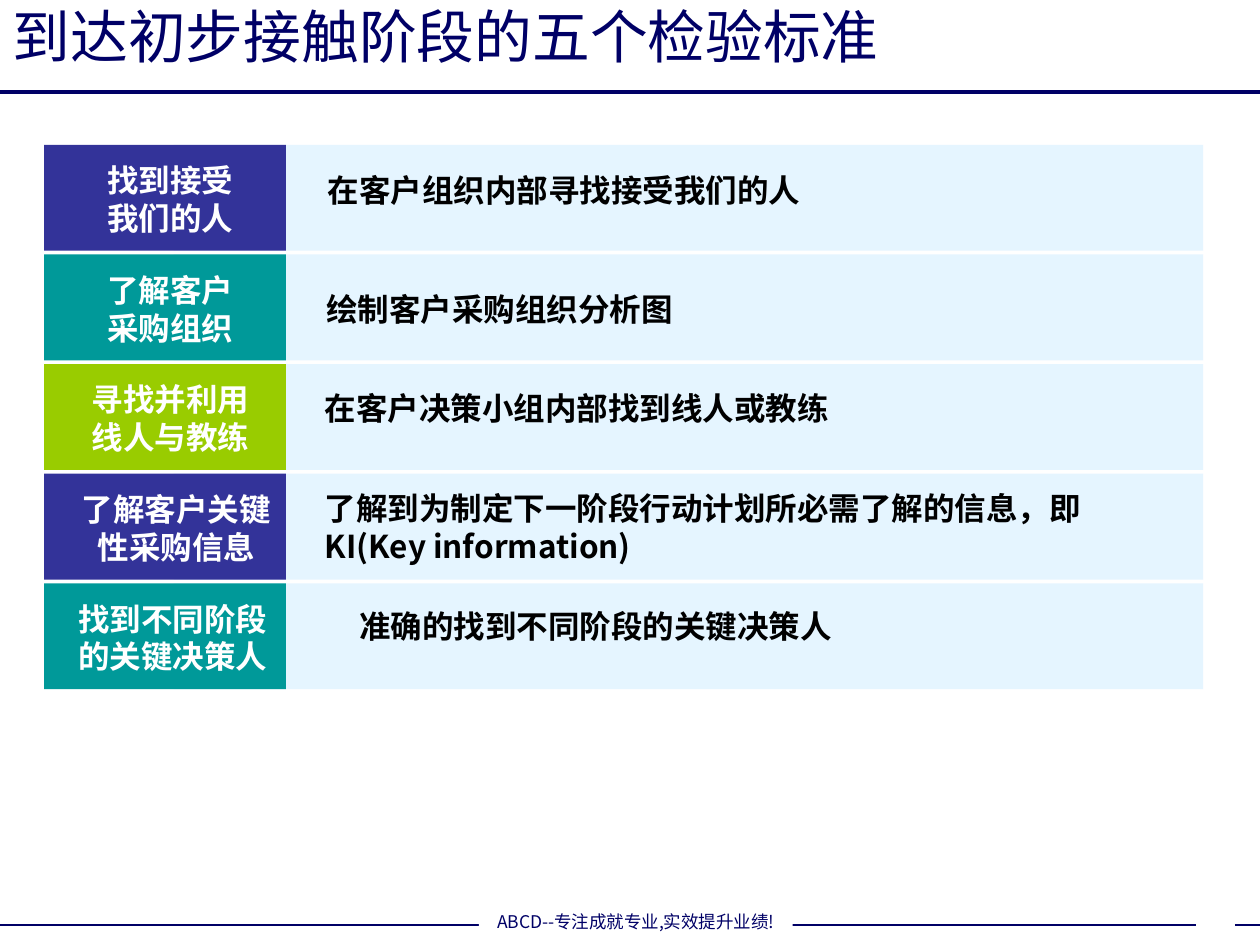
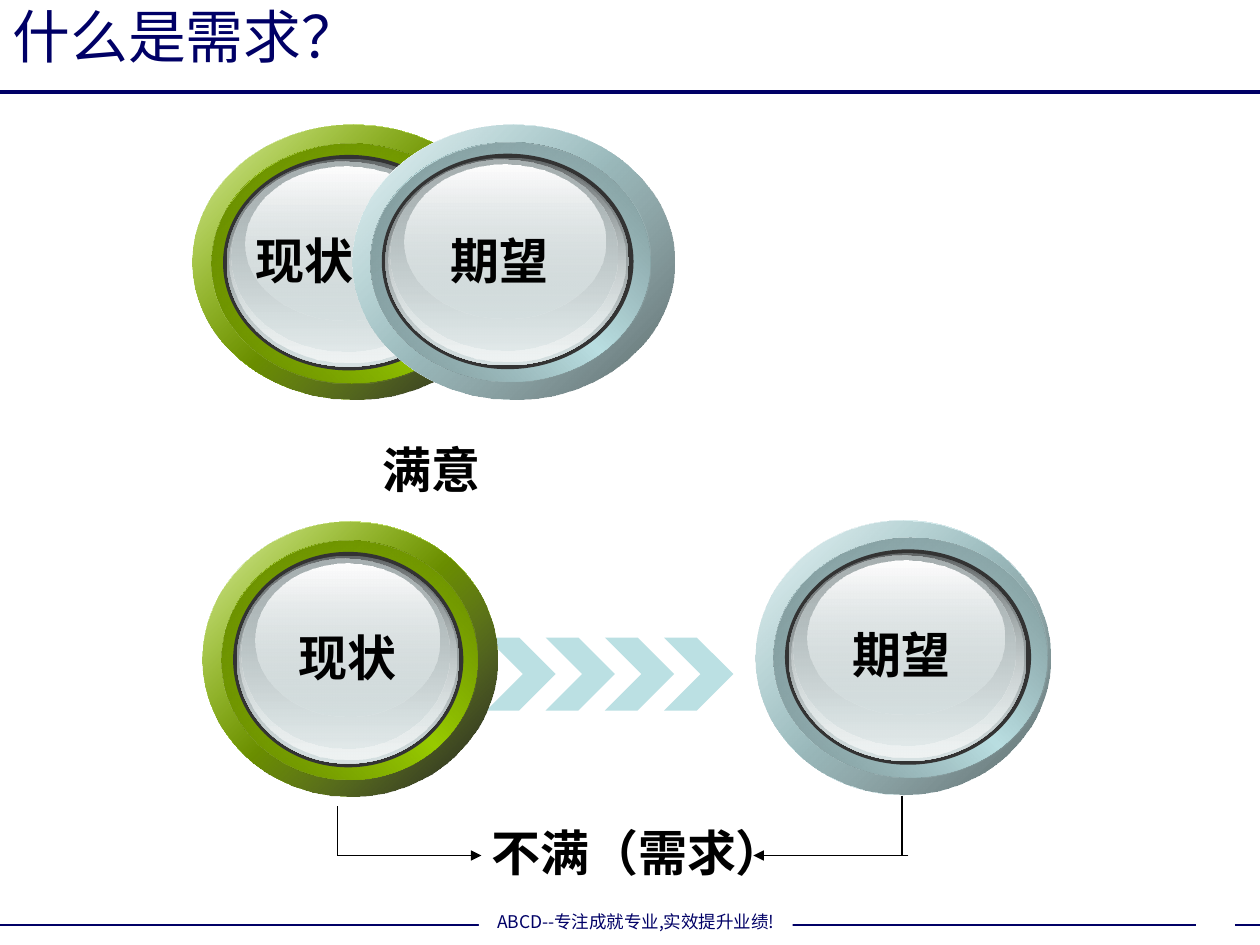
"""Build two slides on first-contact checks and the meaning of customer needs."""
from dataclasses import dataclass
from typing import NamedTuple

from lxml import etree
from pptx import Presentation
from pptx.dml.color import RGBColor
from pptx.enum.shapes import MSO_CONNECTOR, MSO_SHAPE
from pptx.enum.text import MSO_ANCHOR, MSO_AUTO_SIZE, PP_ALIGN
from pptx.oxml.ns import qn
from pptx.presentation import Presentation as Deck
from pptx.shapes.autoshape import Shape
from pptx.slide import Slide
from pptx.text.text import TextFrame
from pptx.util import Inches, Pt


@dataclass(frozen=True)
class Theme:
    navy: str = "000066"
    white: str = "FFFFFF"
    black: str = "000000"
    indigo: str = "333399"
    teal: str = "009999"
    lime: str = "99CC00"
    pale_blue: str = "CCECFF"
    ice: str = "BBE0E3"
    bezel: str = "333333"
    glint: str = "FEFEFE"
    glass: str = "D6E1E2"
    cjk: str = "Noto Sans CJK SC"
    latin: str = "Arial"
    serif: str = "Times New Roman"
    title_size: float = 33
    label_size: float = 28
    body_size: float = 18
    footer_size: float = 10


THEME = Theme()


class Box(NamedTuple):
    left: float
    top: float
    width: float
    height: float


class Style(NamedTuple):
    size: float
    color: str
    font: str = THEME.latin
    bold: bool = True
    align: PP_ALIGN = PP_ALIGN.CENTER


class Stop(NamedTuple):
    position: int
    color: str
    alpha: int = 100


class Rule(NamedTuple):
    start: tuple[float, float]
    end: tuple[float, float]
    color: str
    weight: float
    arrow: bool = False


class Criterion(NamedTuple):
    name: str
    name_left: float
    name_width: float
    color: str
    detail: str
    detail_box: Box
    detail_style: Style
    wrap: bool = False


class Palette(NamedTuple):
    base: str
    shade: Stop
    groove: str
    depth: str
    inset: float


class Badge(NamedTuple):
    left: float
    top: float
    width: float
    rim_width: float
    palette: Palette


class Layer(NamedTuple):
    dx: float
    dy: float
    width_ratio: float
    height: float
    stops: tuple[Stop, ...]
    angle: int = 90


class Caption(NamedTuple):
    text: str
    box: Box
    wrap: bool = False


FOOTER = "ABCD--专注成就专业,实效提升业绩!"
FRAME_RULES = (
    Rule((0, 0.73), (10, 0.73), THEME.navy, 2.25),
    Rule((0, 7.34), (3.9, 7.34), THEME.navy, 1),
    Rule((6.22, 7.34), (9.49, 7.34), THEME.navy, 1),
    Rule((9.8, 7.34), (10, 7.34), THEME.navy, 1),
)
TITLE_STYLE = Style(THEME.title_size, THEME.navy, THEME.cjk, False, PP_ALIGN.LEFT)
FOOTER_STYLE = Style(THEME.footer_size, THEME.navy, THEME.cjk, False)
NAME_STYLE = Style(THEME.body_size, THEME.white)
DETAIL_STYLE = Style(THEME.body_size, THEME.black)
CAPTION_STYLE = Style(THEME.label_size, THEME.black)

ROW_TOP, ROW_PITCH, ROW_HEIGHT = 1.15, 0.87, 0.84
CRITERIA = (
    Criterion("找到接受\n我们的人", 0.75, 1.2, THEME.indigo, "在客户组织内部寻找接受我们的人",
              Box(2.5, 1.31, 3.95, 0.4), DETAIL_STYLE),
    Criterion("了解客户\n采购组织", 0.75, 1.2, THEME.teal, "绘制客户采购组织分析图",
              Box(2.49, 2.25, 2.95, 0.4), DETAIL_STYLE),
    Criterion("寻找并利用\n线人与教练", 0.63, 1.45, THEME.lime, "在客户决策小组内部找到线人或教练",
              Box(2.48, 3.04, 6.38, 0.4),
              DETAIL_STYLE._replace(font=THEME.serif, align=PP_ALIGN.LEFT), True),
    Criterion("了解客户关键\n性采购信息", 0.55, 1.7, THEME.indigo,
              "了解到为制定下一阶段行动计划所必需了解的信息，即\nKI(Key information)",
              Box(2.48, 3.83, 6.68, 0.7),
              DETAIL_STYLE._replace(font=THEME.cjk, align=PP_ALIGN.LEFT), True),
    Criterion("找到不同阶段\n的关键决策人", 0.52, 1.7, THEME.teal, "准确的找到不同阶段的关键决策人",
              Box(2.56, 4.77, 4.33, 0.4), DETAIL_STYLE, True),
)

GREEN = Palette(THEME.lime, Stop(0, THEME.black, 90), "526D00", "608100", 0.15)
BLUE = Palette(THEME.ice, Stop(0, "566768"), "64787A", "768D8F", 0.14)
BADGES = (
    Badge(1.61, 4.14, 2.34, 2.03, GREEN),
    Badge(6, 4.13, 2.34, 2.17, BLUE),
    Badge(1.53, 0.99, 2.55, 2.22, GREEN),
    Badge(2.8, 0.99, 2.55, 2.22, BLUE),
)
BADGE_HEIGHT, RIM_HEIGHT = 2.18, 1.9
FACE_LAYERS = (
    Layer(0.09, 0.09, 0.9, 1.71, (Stop(0, THEME.bezel), Stop(100, THEME.bezel))),
    Layer(0.12, 0.12, 0.87, 1.65, (Stop(0, "626768"), Stop(100, THEME.glass))),
    Layer(0.14, 0.13, 0.85, 1.61, (Stop(0, THEME.glass, 0), Stop(100, "EFF3F3"))),
    Layer(0.16, 0.14, 0.81, 1.51, (Stop(0, "A8B1B2"), Stop(100, THEME.glass, 48))),
    Layer(0.27, 0.18, 0.72, 1.22, (Stop(0, THEME.glint), Stop(100, THEME.glass, 38))),
)
CAPTIONS = (
    Caption("期望", Box(6.67, 4.91, 0.97, 0.57)),
    Caption("现状", Box(2.27, 4.93, 0.97, 0.57)),
    Caption("不满（需求）", Box(3.7, 6.48, 2.73, 0.57), True),
    Caption("期望", Box(3.48, 1.78, 0.97, 0.57)),
    Caption("现状", Box(1.93, 1.78, 0.97, 0.57)),
    Caption("满意", Box(2.78, 3.44, 1.29, 0.57), True),
)
GAP_RULES = (
    Rule((2.68, 6.4), (2.68, 6.79), THEME.black, 0.75),
    Rule((7.16, 6.32), (7.16, 6.79), THEME.black, 0.75),
    Rule((2.68, 6.79), (3.82, 6.79), THEME.black, 0.75, True),
    Rule((7.21, 6.79), (5.98, 6.79), THEME.black, 0.75, True),
)
CHEVRON_LEFT, CHEVRON_TOP, CHEVRON_PITCH, CHEVRON_COUNT = 3.86, 5.06, 0.47, 4
CHEVRON_OUTLINE = ((0, 0), (0.26, 0), (0.55, 0.29), (0.26, 0.58), (0, 0.58), (0.29, 0.29))


def emu(box: Box) -> list[int]:
    return [Inches(length) for length in box]


def write(frame: TextFrame, text: str, style: Style, wrap: bool = False) -> None:
    frame.text = text
    frame.word_wrap = wrap
    frame.auto_size = MSO_AUTO_SIZE.NONE
    for paragraph in frame.paragraphs:
        paragraph.alignment = style.align
        font = paragraph.font
        font.name, font.size, font.bold = style.font, Pt(style.size), style.bold
        font.color.rgb = RGBColor.from_string(style.color)
        defaults = paragraph._p.pPr.find(qn("a:defRPr"))
        etree.SubElement(defaults, qn("a:ea"), typeface=THEME.cjk)


def add_text(slide: Slide, box: Box, text: str, style: Style, wrap: bool = False) -> None:
    write(slide.shapes.add_textbox(*emu(box)).text_frame, text, style, wrap)


def paint(shape: Shape, color: str, alpha: int = 100) -> Shape:
    shape.shadow.inherit = False
    shape.line.fill.background()
    shape.fill.solid()
    shape.fill.fore_color.rgb = RGBColor.from_string(color)
    if alpha < 100:
        tint = shape._element.spPr.find(f"{qn('a:solidFill')}/{qn('a:srgbClr')}")
        etree.SubElement(tint, qn("a:alpha"), val=str(alpha * 1000))
    return shape


def add_band(slide: Slide, box: Box, color: str, alpha: int = 100) -> Shape:
    return paint(slide.shapes.add_shape(MSO_SHAPE.RECTANGLE, *emu(box)), color, alpha)


def add_disc(slide: Slide, box: Box, stops: tuple[Stop, ...], angle: int) -> None:
    disc = paint(slide.shapes.add_shape(MSO_SHAPE.OVAL, *emu(box)), stops[0].color)
    if len({stop.color for stop in stops}) == 1:
        return
    gradient = etree.Element(qn("a:gradFill"), rotWithShape="1")
    stop_list = etree.SubElement(gradient, qn("a:gsLst"))
    for stop in stops:
        entry = etree.SubElement(stop_list, qn("a:gs"), pos=str(stop.position * 1000))
        tint = etree.SubElement(entry, qn("a:srgbClr"), val=stop.color)
        if stop.alpha < 100:
            etree.SubElement(tint, qn("a:alpha"), val=str(stop.alpha * 1000))
    etree.SubElement(gradient, qn("a:lin"), ang=str(angle * 60000), scaled="1")
    properties = disc._element.spPr
    properties.replace(properties.find(qn("a:solidFill")), gradient)


def add_rule(slide: Slide, rule: Rule) -> None:
    ends = [Inches(value) for value in (*rule.start, *rule.end)]
    connector = slide.shapes.add_connector(MSO_CONNECTOR.STRAIGHT, *ends)
    connector.line.color.rgb = RGBColor.from_string(rule.color)
    connector.line.width = Pt(rule.weight)
    properties = connector._element.spPr
    if rule.arrow:
        etree.SubElement(properties.find(qn("a:ln")), qn("a:tailEnd"), type="triangle")
    etree.SubElement(properties, qn("a:effectLst"))


def add_badge(slide: Slide, badge: Badge) -> None:
    base, shade, groove, depth, inset = badge.palette
    outer = Box(badge.left, badge.top, badge.width, BADGE_HEIGHT)
    rim = Box(badge.left + inset, badge.top + inset, badge.rim_width, RIM_HEIGHT)
    add_disc(slide, outer, (Stop(0, THEME.glint), Stop(50, base), Stop(100, THEME.glint)), 225)
    add_disc(slide, outer, (shade, Stop(100, base, 32)), 225)
    add_disc(slide, rim, (Stop(0, groove), Stop(50, base), Stop(100, groove)), 135)
    add_disc(slide, rim, (Stop(0, base, 0), Stop(100, depth)), 225)
    for layer in FACE_LAYERS:
        face = Box(rim.left + layer.dx, rim.top + layer.dy,
                   rim.width * layer.width_ratio, layer.height)
        add_disc(slide, face, layer.stops, layer.angle)


def add_chevron(slide: Slide, left: float) -> None:
    points = [(Inches(left + x), Inches(CHEVRON_TOP + y)) for x, y in CHEVRON_OUTLINE]
    builder = slide.shapes.build_freeform(*points[0])
    builder.add_line_segments(points[1:])
    paint(builder.convert_to_shape(), THEME.ice)


def start_slide(deck: Deck, heading: str) -> Slide:
    slide = deck.slides.add_slide(deck.slide_layouts.get_by_name("Title Only"))
    for rule in FRAME_RULES:
        add_rule(slide, rule)
    footer = add_band(slide, Box(3.8, 7.18, 2.49, 0.27), THEME.white).text_frame
    write(footer, FOOTER, FOOTER_STYLE)
    footer.paragraphs[0].space_before = Pt(6.2)
    title = slide.shapes.title
    title.left, title.top, title.width, title.height = emu(Box(0, 0, 7.13, 0.57))
    write(title.text_frame, heading, TITLE_STYLE, True)
    title.text_frame.vertical_anchor = MSO_ANCHOR.MIDDLE
    return slide


def build_criteria(deck: Deck) -> None:
    slide = start_slide(deck, "到达初步接触阶段的五个检验标准")
    for index, item in enumerate(CRITERIA):
        top = ROW_TOP + index * ROW_PITCH
        add_band(slide, Box(1.38, top, 8.17, ROW_HEIGHT), THEME.pale_blue, 50)
        add_band(slide, Box(0.35, top, 1.92, ROW_HEIGHT), item.color)
        add_text(slide, Box(item.name_left, top + 0.08, item.name_width, 0.7),
                 item.name, NAME_STYLE)
        add_text(slide, item.detail_box, item.detail, item.detail_style, item.wrap)


def build_needs(deck: Deck) -> None:
    slide = start_slide(deck, "什么是需求？")
    for index in range(CHEVRON_COUNT):
        add_chevron(slide, CHEVRON_LEFT + index * CHEVRON_PITCH)
    for badge in BADGES:
        add_badge(slide, badge)
    for caption in CAPTIONS:
        add_text(slide, caption.box, caption.text, CAPTION_STYLE, caption.wrap)
    for rule in GAP_RULES:
        add_rule(slide, rule)


def main() -> None:
    deck = Presentation()
    deck.slide_width, deck.slide_height = Inches(10), Inches(7.5)
    build_criteria(deck)
    build_needs(deck)
    deck.save("out.pptx")


if __name__ == "__main__":
    main()
